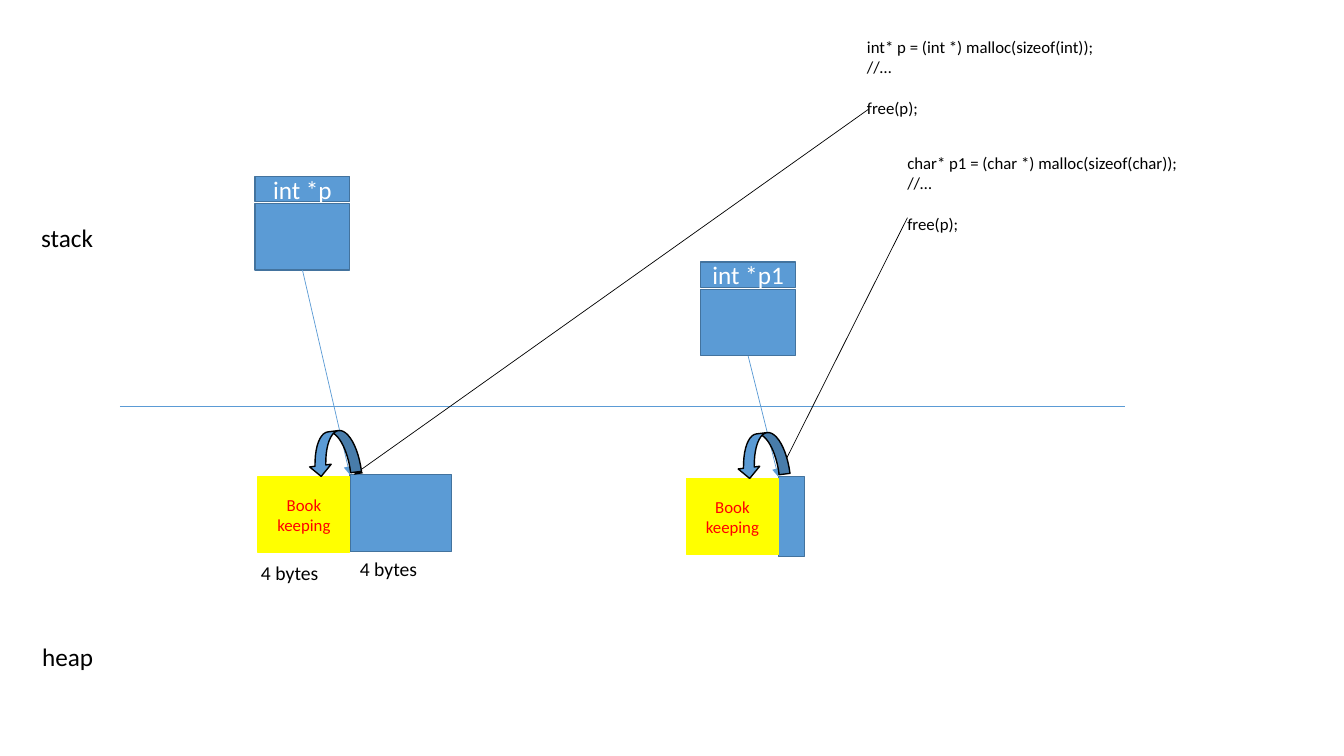
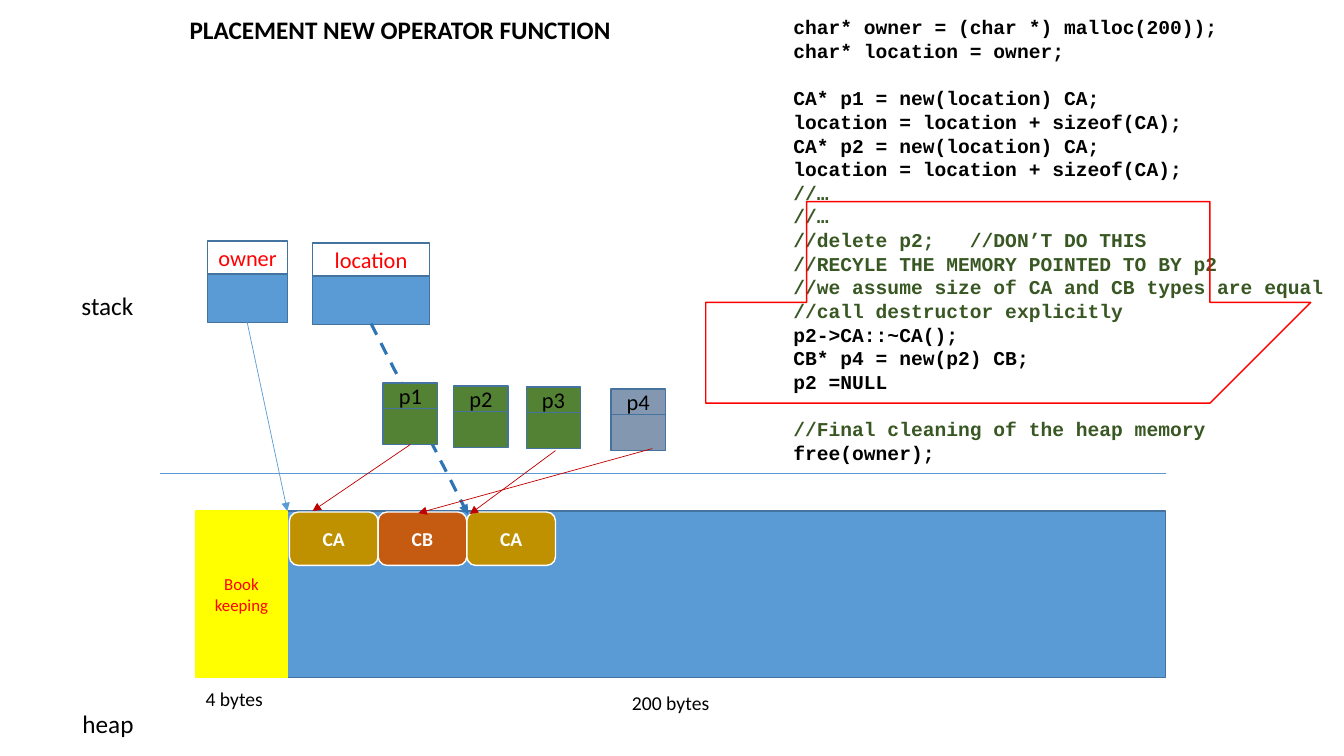
"""Build two slides on heap bookkeeping and the placement new operator."""
from dataclasses import dataclass

from lxml.etree import SubElement
from pptx import Presentation
from pptx.dml.color import RGBColor
from pptx.enum.dml import MSO_LINE
from pptx.enum.shapes import MSO_CONNECTOR, MSO_SHAPE
from pptx.enum.text import MSO_ANCHOR, PP_ALIGN
from pptx.oxml.ns import qn
from pptx.util import Inches, Pt


@dataclass(frozen=True)
class Theme:
    font: str = "Calibri"
    mono: str = "Courier New"
    black: str = "000000"
    white: str = "FFFFFF"
    blue: str = "5B9BD5"
    edge: str = "43739E"
    deep_blue: str = "2E75B6"
    yellow: str = "FFFF00"
    red: str = "FF0000"
    dark_red: str = "C00000"
    green: str = "548235"
    comment: str = "385723"
    slate: str = "8497B0"
    gold: str = "BF9000"
    orange: str = "C55A11"
    large: int = 18
    medium: int = 16
    normal: int = 14
    small: int = 12


T = Theme()


class Deck:
    def __init__(self):
        self.prs = Presentation()
        self.prs.slide_width = Inches(13.33)
        self.prs.slide_height = Inches(7.5)
        self.s = None

    def slide(self, title=None, at=None):
        self.s = self.prs.slides.add_slide(self.prs.slide_layouts[5 if title else 6])
        if title:
            sp = self.s.shapes.title
            sp.left, sp.top, sp.width, sp.height = map(Inches, at)
            self.fill_text(sp, [title], bold=True)

    def fill_text(self, sp, lines, size=T.large, color=T.black, comment=None, pitch=None,
                  align=PP_ALIGN.LEFT, anchor=MSO_ANCHOR.TOP, name=T.font, bold=False):
        tf = sp.text_frame
        tf.word_wrap, tf.vertical_anchor = True, anchor
        gap = 0
        p = tf.paragraphs[0]
        for i, line in enumerate(lines):
            if not line:
                gap += pitch
                continue
            p = tf.add_paragraph() if i else p
            layout = {"alignment": align, "space_before": Pt(gap)}
            if pitch:
                layout["line_spacing"] = Pt(pitch)
            r = p.add_run()
            r.text = line
            style = {"name": name, "size": Pt(size), "bold": bold}
            for target, values in ((p, layout), (r.font, style)):
                for key, value in values.items():
                    setattr(target, key, value)
            is_comment = comment and line.startswith("//")
            r.font.color.rgb = RGBColor.from_string(comment if is_comment else color)
            gap = 0

    def text(self, x, y, w, h, lines, **fmt):
        sp = self.s.shapes.add_textbox(*map(Inches, (x, y, w, h)))
        self.fill_text(sp, lines, **fmt)

    def outline(self, sp, fill, edge):
        sp.shadow.inherit = False
        if fill:
            sp.fill.solid()
            sp.fill.fore_color.rgb = RGBColor.from_string(fill)
        else:
            sp.fill.background()
        sp.line.color.rgb = RGBColor.from_string(edge)
        sp.line.width = Pt(1)

    def box(self, x, y, w, h, fill=T.blue, edge=T.edge, label=None,
            kind=MSO_SHAPE.RECTANGLE, turn=0, **fmt):
        sp = self.s.shapes.add_shape(kind, *map(Inches, (x, y, w, h)))
        sp.rotation = turn
        self.outline(sp, fill, edge)
        if label:
            self.fill_text(sp, [label], align=PP_ALIGN.CENTER, anchor=MSO_ANCHOR.MIDDLE, **fmt)

    def line(self, start, end, color=T.blue, width=0.5, dash=None, arrow=True):
        c = self.s.shapes.add_connector(MSO_CONNECTOR.STRAIGHT, *map(Inches, (*start, *end)))
        c.line.color.rgb = RGBColor.from_string(color)
        for key, value in {"width": Pt(width), "dash_style": dash}.items():
            setattr(c.line, key, value)
        pr = c._element.spPr
        if arrow:
            SubElement(pr.find(qn("a:ln")), qn("a:tailEnd"), type="triangle")
        SubElement(pr, qn("a:effectLst"))

    def loop(self, points, color):
        fb = self.s.shapes.build_freeform(*points[0], scale=Inches(1))
        fb.add_line_segments(points[1:], close=False)
        self.outline(fb.convert_to_shape(), None, color)

    def regions(self, dx=0, dy=0):
        self.text(0.31 + dx, 2.16 + dy, 0.87, 0.4, ["stack"])
        self.text(0.32 + dx, 6.31 + dy, 0.87, 0.4, ["heap"])
        self.line((1.19 + dx, 4.03 + dy), (11.16 + dx, 4.03 + dy), arrow=False)

    def variable(self, x, y, w, name, heights, fill=T.blue, head=None, gap=0, **fmt):
        top, body = heights
        self.box(x, y, w, top, head or fill, label=name, **fmt)
        self.box(x, y + top + gap, w, body, fill)

    def bookkeeping(self, x, y, h):
        self.box(x, y, 0.91, h, T.yellow, T.yellow, "Book keeping", size=T.small, color=T.red)

    def size_label(self, x, y, label):
        self.text(x, y, 1.03, 0.34, [label], size=T.normal)


def malloc_slide(d):
    d.slide()
    d.regions()
    allocations = [
        ("p", "int", (2.53, 1.75), (3.47, 4.71, 1.01, 0.76), (8.5, 0.31, 2.78), (8.62, 1.08), 3.51),
        ("p1", "char", (6.95, 2.6), (7.72, 4.73, 0.26, 0.79), (8.9, 1.46, 3.05), (9, 2.16), 7.72),
    ]
    for name, kind, (vx, vy), (x, y, w, h), code_at, free_at, target in allocations:
        lines = [f"{kind}* {name} = ({kind} *) malloc(sizeof({kind}));", "//…", "", "free(p);"]
        d.text(*code_at, 0.91, lines, size=T.small, pitch=14.5)
        d.variable(vx, vy, 0.94, f"int *{name}", (0.25, 0.66), gap=0.02, color=T.white)
        d.box(x, y, w, h)
        d.line((vx + 0.47, vy + 0.93), (x, y))
        d.bookkeeping(x - 0.91, y + 0.02, 0.75)
        d.line(free_at, (target, 4.71), T.black)
        d.box(x - 0.38, y - 0.47, 0.43, 0.51, edge=T.black,
              kind=MSO_SHAPE.CURVED_RIGHT_ARROW, turn=82.8)
    d.size_label(3.47, 5.48, "4 bytes")
    d.size_label(2.49, 5.52, "4 bytes")


def placement_slide(d):
    d.slide("PLACEMENT NEW OPERATOR FUNCTION", (1.78, 0.09, 4.51, 0.4))
    d.regions(0.4, 0.67)
    for name, x, y, w in (("owner", 2.06, 2.39, 0.79), ("location", 3.1, 2.41, 1.16)):
        d.variable(x, y, w, name, (0.33, 0.48), head=T.white, size=T.medium, color=T.red)
    d.box(2.85, 5.07, 8.71, 1.65)
    d.bookkeeping(1.94, 5.07, 1.65)
    d.size_label(6.17, 6.81, "200 bytes")
    d.size_label(1.94, 6.77, "4 bytes")
    d.line((2.45, 3.19), (2.85, 5.07))
    d.line((3.68, 3.21), (4.64, 5.1), T.deep_blue, 2.25, MSO_LINE.DASH)
    pointers = [("p1", 3.8, 3.8, T.green), ("p2", 4.5, 3.83, T.green),
                ("p3", 5.22, 3.84, T.green), ("p4", 6.06, 3.86, T.slate)]
    for name, x, y, fill in pointers:
        d.variable(x, y, 0.54, name, (0.25, 0.36), fill, size=T.medium)
    for i, (name, fill) in enumerate((("CA", T.gold), ("CB", T.orange), ("CA", T.gold))):
        d.box(2.87 + 0.88 * i, 5.08, 0.88, 0.53, fill, T.white, name,
              MSO_SHAPE.ROUNDED_RECTANGLE, size=T.normal, color=T.white, bold=True)
    for start, end in (((4.07, 4.41), (3.1, 5.07)), ((5.51, 4.47), (4.66, 5.1)),
                       ((6.47, 4.45), (4.15, 5.09))):
        d.line(start, end, T.dark_red)
    d.text(7.77, 0.1, 5.5, 4.58, [
        "char* owner = (char *) malloc(200));",
        "char* location = owner;",
        "",
        "CA* p1 = new(location) CA;",
        "location = location + sizeof(CA);",
        "CA* p2 = new(location) CA;",
        "location = location + sizeof(CA);",
        "//…",
        "//…",
        "//delete p2;   //DON’T DO THIS",
        "//RECYLE THE MEMORY POINTED TO BY p2",
        "//we assume size of CA and CB types are equal",
        "//call destructor explicitly",
        "p2->CA::~CA();",
        "CB* p4 = new(p2) CB;",
        "p2 =NULL",
        "",
        "//Final cleaning of the heap memory",
        "free(owner);",
    ], size=T.normal, name=T.mono, bold=True, comment=T.comment, pitch=16.9)
    d.loop([
        (7.43, 2.84), (7.49, 2.72), (7.56, 2.64), (7.71, 2.52), (7.81, 2.48), (7.93, 2.43),
        (8.01, 2.38), (8.14, 2.34), (8.29, 2.31), (9.14, 2.28), (9.64, 2.24), (9.71, 2.23),
        (10.99, 2.24), (11.27, 2.27), (11.8, 2.38), (12.13, 2.42), (12.26, 2.51),
        (12.49, 2.71), (12.63, 2.84), (12.7, 2.98), (12.77, 3.05), (12.76, 3.38),
        (12.66, 3.46), (12.5, 3.53), (12.29, 3.61), (12.06, 3.7), (11.97, 3.74),
        (11.79, 3.81), (11.64, 3.9), (11.53, 3.97), (11.44, 4), (11.2, 4.03), (10.96, 4.04),
        (7.76, 4.05), (7.57, 4.01), (7.47, 3.96), (7.4, 3.88), (7.33, 3.77), (7.27, 3.69),
        (7.23, 3.57), (7.17, 3.43), (7.17, 3.25), (7.19, 3.07), (7.26, 3.01), (7.34, 2.92),
        (7.44, 2.83), (7.51, 2.79),
    ], T.red)


def main():
    d = Deck()
    malloc_slide(d)
    placement_slide(d)
    d.prs.save("out.pptx")


if __name__ == "__main__":
    main()
